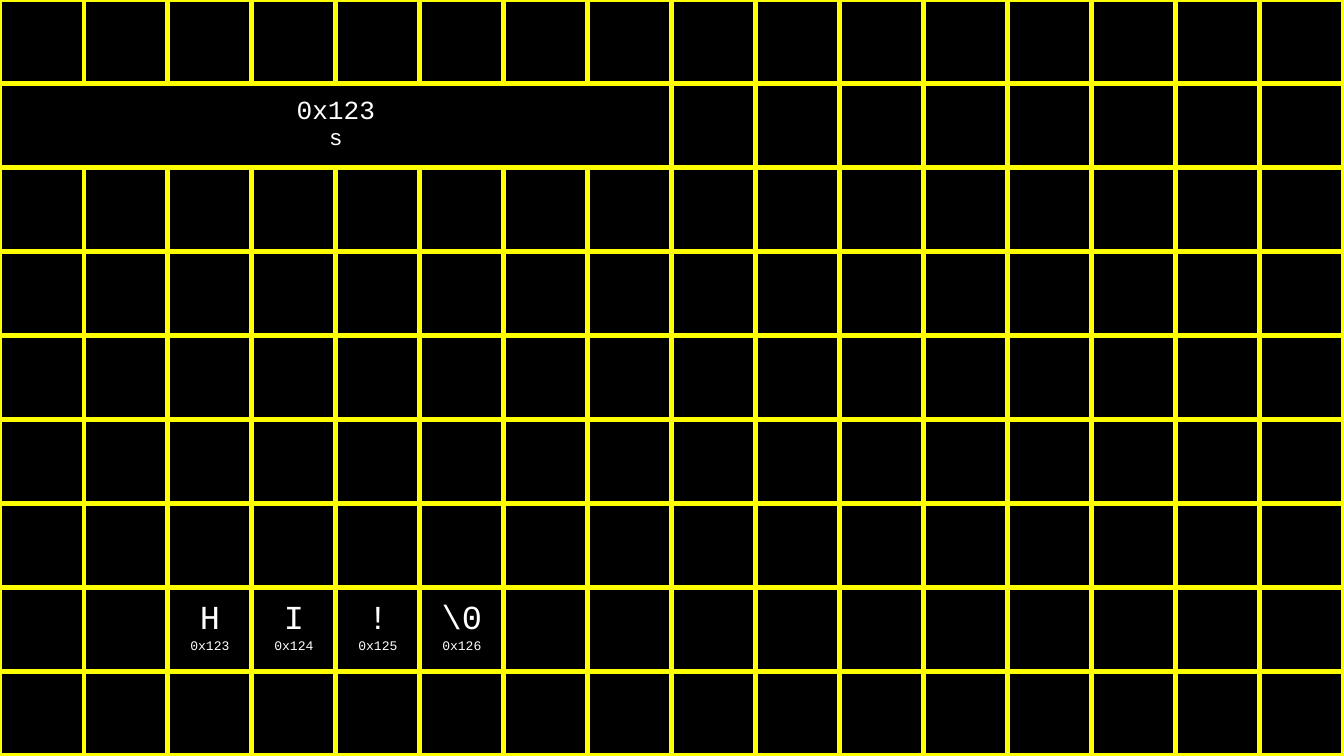
from lxml.etree import SubElement
from pptx import Presentation
from pptx.dml.color import RGBColor
from pptx.enum.text import MSO_ANCHOR as Anchor, PP_ALIGN as Align
from pptx.oxml.ns import qn
from pptx.util import Pt

BLACK = RGBColor(0x00, 0x00, 0x00)
WHITE = RGBColor(0xFF, 0xFF, 0xFF)
YELLOW = RGBColor(0xFF, 0xFF, 0x00)
FONT = "Courier New"
ROWS, COLUMNS, BYTE = 12, 16, 45
PAGE_ROWS = 9
POINTER_ROW, POINTER_BYTES = 1, 8
STRING_ROW, STRING_COLUMN, STRING_ADDRESS = 7, 2, 0x123


def add_borders(cell, color, width):
    """Draw a solid line on all four sides of a cell."""
    properties = cell._tc.get_or_add_tcPr()
    for side in ("a:lnL", "a:lnR", "a:lnT", "a:lnB"):
        line = SubElement(properties, qn(side), w=str(Pt(width)))
        fill = SubElement(line, qn("a:solidFill"))
        SubElement(fill, qn("a:srgbClr"), val=str(color))


def write_lines(cell, lines, font=FONT, color=WHITE, align=Align.CENTER):
    """Fill a cell with one paragraph for each text and size."""
    frame = cell.text_frame
    for index, (text, size) in enumerate(lines):
        para = frame.paragraphs[0] if index == 0 else frame.add_paragraph()
        para.alignment = align
        span = para.add_run()
        span.text = text
        span.font.name = font
        span.font.size = Pt(size)
        span.font.color.rgb = color


def add_memory_grid(page, left, top, width, height):
    """Add the empty grid of bytes in the given box and return its table."""
    grid = page.shapes.add_table(
        ROWS, COLUMNS, Pt(left), Pt(top), Pt(width), Pt(height)
    ).table
    grid.first_row = grid.horz_banding = False
    for column in grid.columns:
        column.width = Pt(width / COLUMNS)
    for row in grid.rows:
        row.height = Pt(height / ROWS)
    for cell in grid.iter_cells():
        cell.margin_left = cell.margin_right = Pt(7.2)
        cell.margin_top = cell.margin_bottom = Pt(7.2)
        cell.vertical_anchor = Anchor.TOP
        add_borders(cell, YELLOW, 3)
        cell.fill.background()
    return grid


def fill_memory(grid):
    """Write the pointer and the string it points to into the grid."""
    pointer = grid.cell(POINTER_ROW, 0)
    pointer.merge(grid.cell(POINTER_ROW, POINTER_BYTES - 1))
    write_lines(pointer, [(f"0x{STRING_ADDRESS:x}", 14), ("s", 12)])
    for offset, character in enumerate(["H", "I", "!", "\\0"]):
        address = f"0x{STRING_ADDRESS + offset:x}"
        cell = grid.cell(STRING_ROW, STRING_COLUMN + offset)
        write_lines(cell, [(character, 18), (address, 7)])


def main():
    """Build the slide and save the deck."""
    width = COLUMNS * BYTE
    deck = Presentation()
    deck.slide_width, deck.slide_height = Pt(width), Pt(PAGE_ROWS * BYTE)
    page = deck.slides.add_slide(deck.slide_layouts[6])
    page.background.fill.solid()
    page.background.fill.fore_color.rgb = BLACK
    fill_memory(add_memory_grid(page, 0, 0, width, ROWS * BYTE))
    deck.save("out.pptx")


if __name__ == "__main__":
    main()
